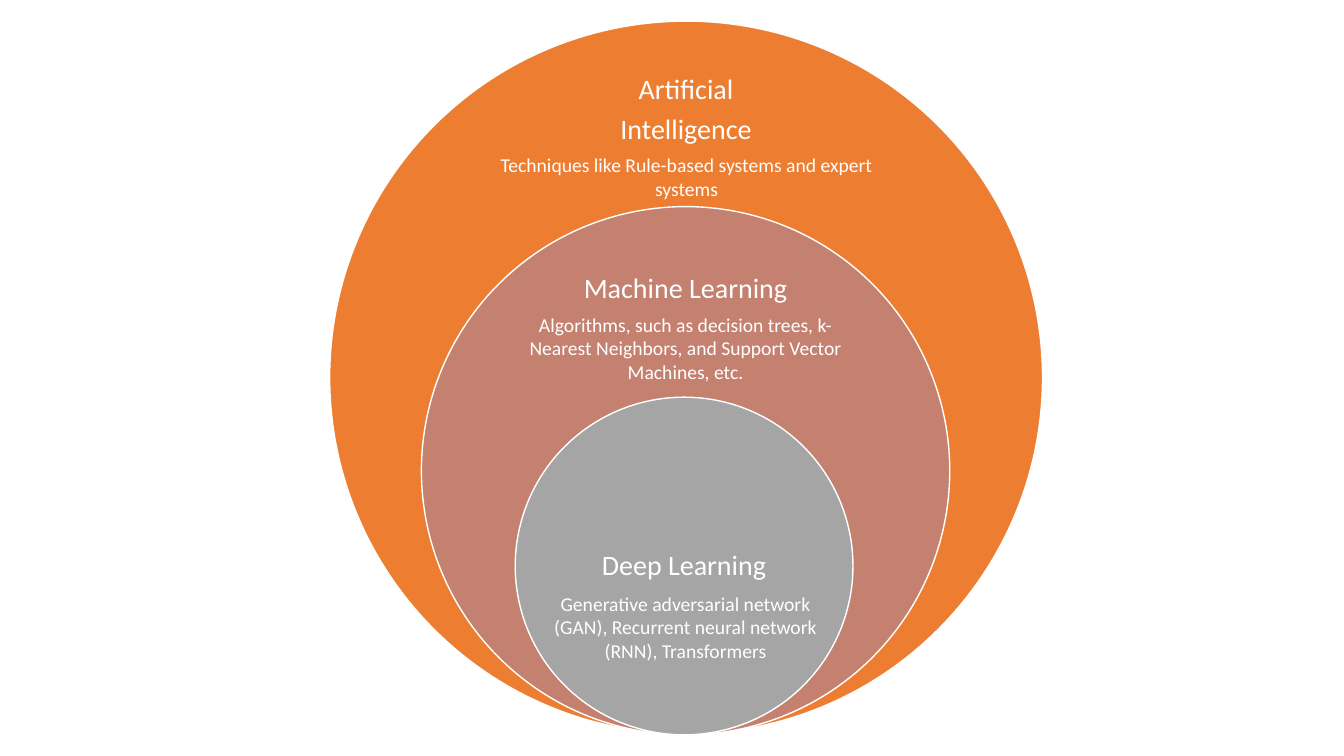
from dataclasses import dataclass

import pptx
import pptx.dml.color
import pptx.enum.shapes
import pptx.enum.text
import pptx.slide
import pptx.util

EMU_PER_PX = 9144  # 100 px to the inch


@dataclass(frozen=True)
class Theme:
    font: str = "Calibri"
    white: str = "FFFFFF"
    orange: str = "ED7D31"
    rose: str = "C48170"
    grey: str = "A5A5A5"
    title_pt: int = 20
    detail_pt: int = 14
    outline_pt: int = 1


@dataclass(frozen=True)
class Area:
    left: int
    top: int
    width: int
    height: int


@dataclass(frozen=True)
class Ring:
    left: int
    top: int
    diameter: int
    fill: str
    title: tuple[str, ...]
    title_area: Area
    detail: str
    detail_area: Area


THEME = Theme()
TITLE_INSET = 16
TITLE_FORMAT = {"line_spacing": 0.9, "space_after": pptx.util.Pt(7)}
TITLE_FRAME = {
    "vertical_anchor": pptx.enum.text.MSO_ANCHOR.MIDDLE,
    **{f"margin_{side}": TITLE_INSET * EMU_PER_PX
       for side in ("left", "top", "right", "bottom")},
}
DETAIL_FRAME = {"auto_size": pptx.enum.text.MSO_AUTO_SIZE.SHAPE_TO_FIT_TEXT}

RINGS = (
    Ring(327, 21, 707, THEME.orange,
         ("Artificial", "Intelligence"), Area(557, 57, 247, 106),
         "Techniques like Rule-based systems and expert systems",
         Area(458, 147, 446, 81)),
    Ring(418, 205, 524, THEME.rose,
         ("Machine Learning",), Area(558, 238, 244, 98),
         "Algorithms, such as decision trees, k-Nearest Neighbors, "
         "and Support Vector Machines, etc.",
         Area(494, 305, 372, 81)),
    Ring(511, 394, 335, THEME.grey,
         ("Deep Learning",), Area(560, 478, 237, 167),
         "Generative adversarial network (GAN), Recurrent neural network "
         "(RNN), Transformers",
         Area(536, 582, 288, 81)),
)


def px(length: int) -> pptx.util.Emu:
    return pptx.util.Emu(length * EMU_PER_PX)


def rgb(code: str) -> pptx.dml.color.RGBColor:
    return pptx.dml.color.RGBColor.from_string(code)


def apply(target: object, values: dict[str, object]) -> None:
    """Set each named attribute of the target."""
    for name, value in values.items():
        setattr(target, name, value)


def draw_circle(page: pptx.slide.Slide, ring: Ring) -> None:
    circle = page.shapes.add_shape(
        pptx.enum.shapes.MSO_SHAPE.OVAL,
        px(ring.left), px(ring.top), px(ring.diameter), px(ring.diameter))
    circle.shadow.inherit = False
    circle.fill.solid()
    circle.fill.fore_color.rgb = rgb(ring.fill)
    circle.line.color.rgb = rgb(THEME.white)
    circle.line.width = pptx.util.Pt(THEME.outline_pt)


def draw_text(page: pptx.slide.Slide, area: Area, lines: tuple[str, ...],
              size: int, frame_format: dict[str, object],
              para_format: dict[str, object]) -> None:
    """Add centred white text, one paragraph to a line."""
    box = page.shapes.add_textbox(
        px(area.left), px(area.top), px(area.width), px(area.height))
    frame = box.text_frame
    apply(frame, {"word_wrap": True, **frame_format})
    frame.text = "\n".join(lines)
    for para in frame.paragraphs:
        apply(para, {"alignment": pptx.enum.text.PP_ALIGN.CENTER, **para_format})
        for span in para.runs:
            apply(span.font, {"name": THEME.font, "size": pptx.util.Pt(size)})
            span.font.color.rgb = rgb(THEME.white)


def main() -> None:
    deck = pptx.Presentation()
    deck.slide_width, deck.slide_height = px(1333), px(750)
    page = deck.slides.add_slide(deck.slide_layouts[6])
    for ring in RINGS:
        draw_circle(page, ring)
        draw_text(page, ring.title_area, ring.title, THEME.title_pt,
                  TITLE_FRAME, TITLE_FORMAT)
    for ring in RINGS:
        draw_text(page, ring.detail_area, (ring.detail,), THEME.detail_pt,
                  DETAIL_FRAME, {})
    deck.save("out.pptx")


if __name__ == "__main__":
    main()
